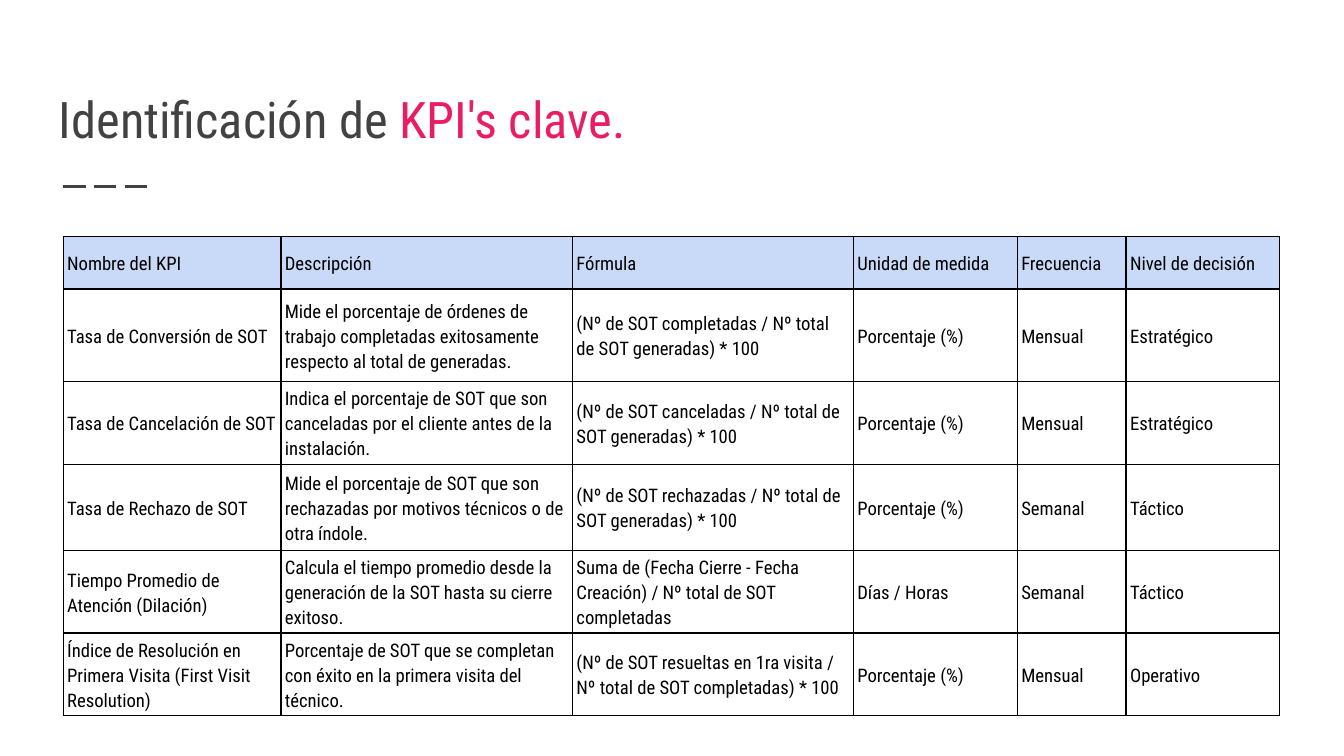
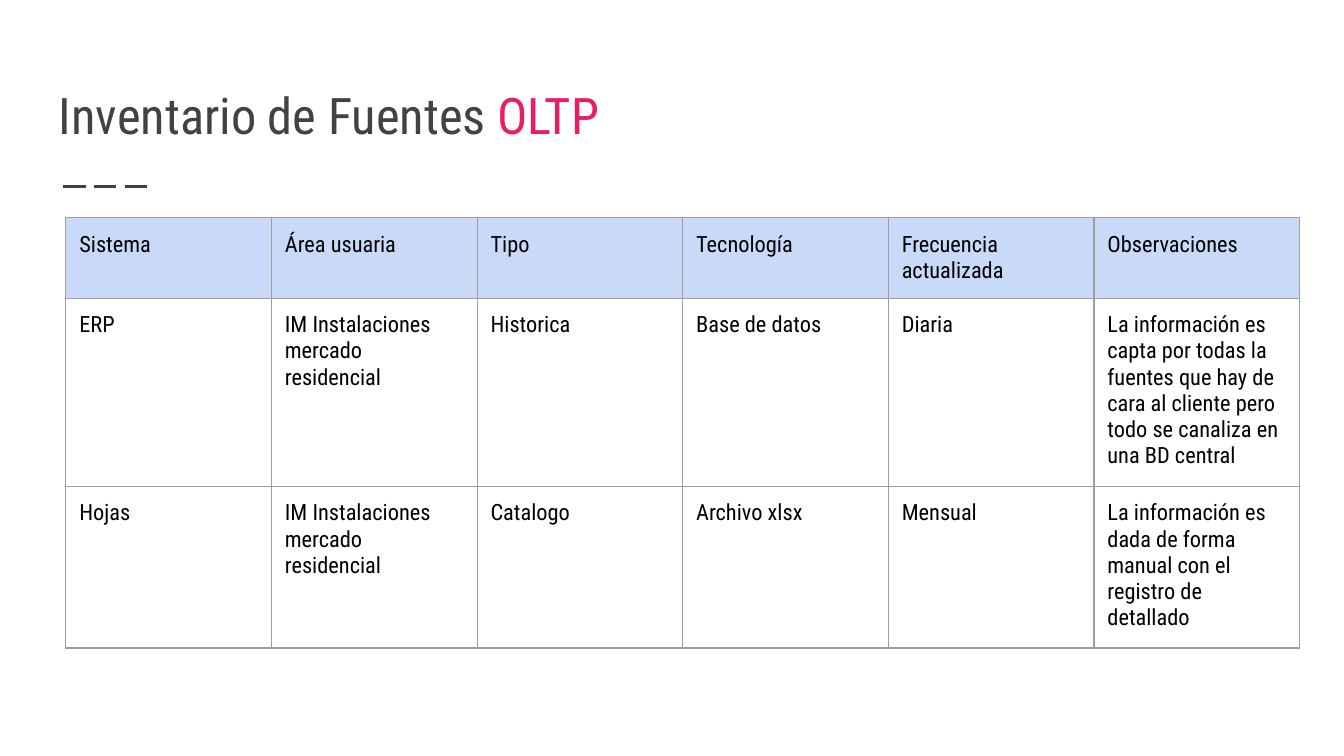
from lxml import etree
from pptx import Presentation
from pptx.dml.color import RGBColor
from pptx.enum.dml import MSO_LINE
from pptx.enum.shapes import MSO_CONNECTOR
from pptx.enum.text import MSO_ANCHOR
from pptx.oxml.ns import qn
from pptx.util import Inches, Pt

FONT = "Roboto Condensed"
DARK, PINK, BLACK = "424242", "E91D63", "000000"
WHITE, HEAD, GRAY = "FFFFFF", "C9DAF8", "9E9E9E"
STRAIGHT = MSO_CONNECTOR.STRAIGHT
DASH = MSO_LINE.LONG_DASH
TOP, MIDDLE, BOTTOM = MSO_ANCHOR.TOP, MSO_ANCHOR.MIDDLE, MSO_ANCHOR.BOTTOM

KPIS = [
    ["Nombre del KPI", "Descripción", "Fórmula", "Unidad de medida",
     "Frecuencia", "Nivel de decisión"],
    ["Tasa de Conversión de SOT",
     "Mide el porcentaje de órdenes de trabajo completadas exitosamente "
     "respecto al total de generadas.",
     "(Nº de SOT completadas / Nº total de SOT generadas) * 100",
     "Porcentaje (%)", "Mensual", "Estratégico"],
    ["Tasa de Cancelación de SOT",
     "Indica el porcentaje de SOT que son canceladas por el cliente antes "
     "de la instalación.",
     "(Nº de SOT canceladas / Nº total de SOT generadas) * 100",
     "Porcentaje (%)", "Mensual", "Estratégico"],
    ["Tasa de Rechazo de SOT",
     "Mide el porcentaje de SOT que son rechazadas por motivos técnicos o "
     "de otra índole.",
     "(Nº de SOT rechazadas / Nº total de SOT generadas) * 100",
     "Porcentaje (%)", "Semanal", "Táctico"],
    ["Tiempo Promedio de Atención (Dilación)",
     "Calcula el tiempo promedio desde la generación de la SOT hasta su "
     "cierre exitoso.",
     "Suma de (Fecha Cierre - Fecha Creación) / Nº total de SOT completadas",
     "Días / Horas", "Semanal", "Táctico"],
    ["Índice de Resolución en Primera Visita (First Visit Resolution)",
     "Porcentaje de SOT que se completan con éxito en la primera visita del "
     "técnico.",
     "(Nº de SOT resueltas en 1ra visita / Nº total de SOT completadas) * 100",
     "Porcentaje (%)", "Mensual", "Operativo"],
]
AREA = "IM Instalaciones mercado residencial"
SOURCES = [
    ["Sistema", "Área usuaria", "Tipo", "Tecnología",
     "Frecuencia actualizada", "Observaciones"],
    ["ERP", AREA, "Historica", "Base de datos", "Diaria",
     "La información es capta por todas la fuentes que hay de cara al cliente "
     "pero todo se canaliza en una BD central"],
    ["Hojas", AREA, "Catalogo", "Archivo xlsx", "Mensual",
     "La información es dada de forma manual con el registro de detallado"],
]


def color(code):
    """Turn a hex string into a colour."""
    return RGBColor.from_string(code)


def write(frame, *parts, size, space=None):
    """Write (text, colour) parts as the one paragraph of a frame."""
    frame.word_wrap = True
    para = frame.paragraphs[0]
    para.line_spacing = space
    for text, ink in parts:
        run = para.add_run()
        run.text = text
        run.font.name = FONT
        run.font.size = Pt(size)
        run.font.color.rgb = color(ink)


def add_title(slide, box, plain, accent):
    """Place the two-colour title in its box."""
    shape = slide.shapes.add_textbox(*map(Inches, box))
    frame = shape.text_frame
    frame.margin_left = frame.margin_right = Inches(0.1)
    frame.margin_top = frame.margin_bottom = Inches(0.1)
    frame.vertical_anchor = BOTTOM
    write(frame, (plain, DARK), (accent, PINK), size=27)


def add_rule(slide, left, top, width):
    """Draw the dashed rule below the title."""
    rule = slide.shapes.add_connector(
        STRAIGHT, Inches(left), Inches(top), Inches(left + width), Inches(top))
    rule.line.color.rgb = color(DARK)
    rule.line.width = Pt(1.5)
    rule.line.dash_style = DASH
    etree.SubElement(rule._element.spPr, qn("a:effectLst"))


def add_edges(cell, ink, width):
    """Give all four sides of a cell a solid line."""
    props = cell._tc.get_or_add_tcPr()
    for side in ("lnL", "lnR", "lnT", "lnB"):
        edge = etree.SubElement(props, qn(f"a:{side}"), w=str(Pt(width)))
        fill = etree.SubElement(edge, qn("a:solidFill"))
        etree.SubElement(fill, qn("a:srgbClr"), val=ink)


def add_grid(slide, left, top, data, cols, rows, *, size, pad, edge,
             anchor=TOP, space=None):
    """Place a table with a tinted head row at the given corner."""
    table = slide.shapes.add_table(
        len(rows), len(cols), Inches(left), Inches(top),
        Inches(sum(cols)), Inches(sum(rows))).table
    table.first_row = table.horz_banding = False
    for col, width in zip(table.columns, cols):
        col.width = Inches(width)
    for r, (row, height) in enumerate(zip(table.rows, rows)):
        row.height = Inches(height)
        for cell, text in zip(row.cells, data[r]):
            cell.margin_left = cell.margin_right = Inches(pad[0])
            cell.margin_top = cell.margin_bottom = Inches(pad[1])
            cell.vertical_anchor = anchor
            add_edges(cell, *edge)
            if r == 0:
                cell.fill.solid()
                cell.fill.fore_color.rgb = color(HEAD)
            else:
                cell.fill.background()
            write(cell.text_frame, (text, BLACK), size=size, space=space)


def add_page(deck, top, plain, accent):
    """Start a white slide with its title and rule."""
    slide = deck.slides.add_slide(deck.slide_layouts[6])
    slide.background.fill.solid()
    slide.background.fill.fore_color.rgb = color(WHITE)
    add_rule(slide, 0.47, 1.39, 0.67)
    add_title(slide, (0.34, top, 9.32, 0.65), plain, accent)
    return slide


def main():
    """Build and save the deck."""
    deck = Presentation()
    deck.slide_width = Inches(10)
    deck.slide_height = deck.slide_width * 9 // 16

    slide = add_page(deck, 0.56, "Identificación de ", "KPI's clave.")
    add_grid(slide, 0.47, 1.76, KPIS,
             [1.62, 2.17, 2.09, 1.22, 0.81, 1.14],
             [0.39, 0.69, 0.43, 0.64, 0.46, 0.54],
             size=10, pad=(0.03, 0.02), edge=(BLACK, 0.8),
             anchor=MIDDLE, space=1.15)

    slide = add_page(deck, 0.53, "Inventario de Fuentes ", "OLTP")
    add_grid(slide, 0.49, 1.62, SOURCES, [1.53] * 6, [0.42] * 3,
             size=12, pad=(0.1, 0.1), edge=(GRAY, 0.75))

    deck.save("out.pptx")


if __name__ == "__main__":
    main()
